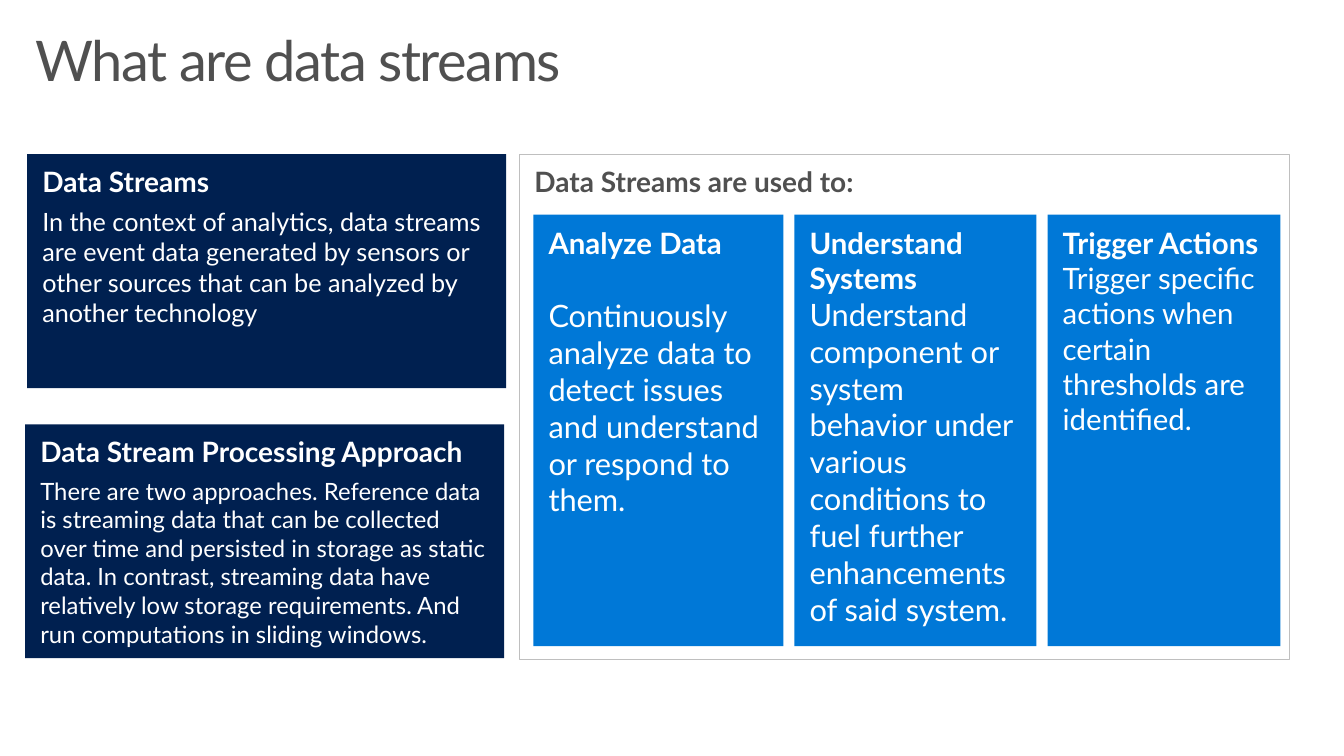
import dataclasses

import pptx
import pptx.dml.color
import pptx.enum.shapes
import pptx.enum.text
import pptx.util

PX = 9144


@dataclasses.dataclass(frozen=True)
class Theme:
    font: str = "Lato"
    navy: str = "002050"
    blue: str = "0078D7"
    grey: str = "505050"
    border: str = "BFBFBF"
    white: str = "FFFFFF"
    title: int = 40
    heading: int = 20
    card_heading: int = 21
    definition: int = 18
    approach: int = 17
    card_body: int = 22


THEME = Theme()


def px(value):
    return pptx.util.Emu(value * PX)


def rgb(value):
    return pptx.dml.color.RGBColor.from_string(value)


def apply(target, values):
    for name, value in values.items():
        setattr(target, name, value)


def place(s, box):
    apply(s, dict(zip(("left", "top", "width", "height"), map(px, box))))


def format_frame(tf, margins):
    apply(tf, {
        "word_wrap": True,
        "auto_size": pptx.enum.text.MSO_AUTO_SIZE.NONE,
        "vertical_anchor": pptx.enum.text.MSO_ANCHOR.TOP,
    })
    sides = ("margin_left", "margin_top", "margin_right", "margin_bottom")
    apply(tf, dict(zip(sides, map(px, margins))))


def write(p, text, size, color, bold=False, after=0):
    apply(p, {
        "alignment": pptx.enum.text.PP_ALIGN.LEFT,
        "space_before": pptx.util.Pt(0),
        "space_after": pptx.util.Pt(after),
    })
    r = p.add_run()
    r.text = text
    apply(r.font, {"name": THEME.font, "size": pptx.util.Pt(size), "bold": bold})
    r.font.color.rgb = rgb(color)
    return r


def add_title(slide, text):
    s = slide.shapes.title
    place(s, (25, 25, 1279, 100))
    format_frame(s.text_frame, (10, 0, 0, 0))
    r = write(s.text_frame.paragraphs[0], text, THEME.title, THEME.grey)
    r.font._element.set("spc", "-100")


def add_box(slide, box, fill=None, border=None):
    s = slide.shapes.add_shape(
        pptx.enum.shapes.MSO_SHAPE.RECTANGLE, *map(px, box))
    s.shadow.inherit = False
    if fill:
        s.fill.solid()
        s.fill.fore_color.rgb = rgb(fill)
    else:
        s.fill.background()
    if border:
        s.line.color.rgb = rgb(border)
        s.line.width = pptx.util.Pt(0.5)
    else:
        s.line.fill.background()
    format_frame(s.text_frame, (15, 10, 15, 10))
    return s.text_frame


def add_text_card(slide, box, fill, heading, heading_size, body, body_size, gap):
    tf = add_box(slide, box, fill)
    write(tf.paragraphs[0], heading, heading_size, THEME.white, True, gap)
    write(tf.add_paragraph(), body, body_size, THEME.white)


def add_use_panel(slide, box, heading):
    tf = add_box(slide, box, border=THEME.border)
    write(tf.paragraphs[0], heading, THEME.heading, THEME.grey, True)


def main():
    prs = pptx.Presentation()
    prs.slide_width, prs.slide_height = px(1333), px(750)
    slide = prs.slides.add_slide(prs.slide_layouts[5])
    add_title(slide, "What are data streams")

    explanations = [
        (27, 153, "Data Streams",
         "In the context of analytics, data streams are event data generated "
         "by sensors or other sources that can be analyzed by another "
         "technology", THEME.definition),
        (25, 421, "Data Stream Processing Approach",
         "There are two approaches. Reference data is streaming data that can "
         "be collected over time and persisted in storage as static data. In "
         "contrast, streaming data have relatively low storage requirements. "
         "And run computations in sliding windows.", THEME.approach),
    ]
    for left, top, heading, body, size in explanations:
        add_text_card(slide, (left, top, 475, 232), THEME.navy,
                      heading, THEME.heading, body, size, 6)

    add_use_panel(slide, (515, 153, 764, 501), "Data Streams are used to:")

    uses = [
        (248, "Analyze Data",
         "Continuously analyze data to detect issues and understand or "
         "respond to them.", THEME.card_body, 26),
        (240, "Understand Systems",
         "Understand component or system behavior under various conditions "
         "to fuel further enhancements of said system.", THEME.card_body, 0),
        (231, "Trigger Actions",
         "Trigger specific actions when certain thresholds are identified.",
         THEME.card_heading, 0),
    ]
    left = 529
    for width, heading, body, size, gap in uses:
        add_text_card(slide, (left, 213, width, 428), THEME.blue,
                      heading, THEME.card_heading, body, size, gap)
        left += width + 11

    prs.save("out.pptx")


if __name__ == "__main__":
    main()
